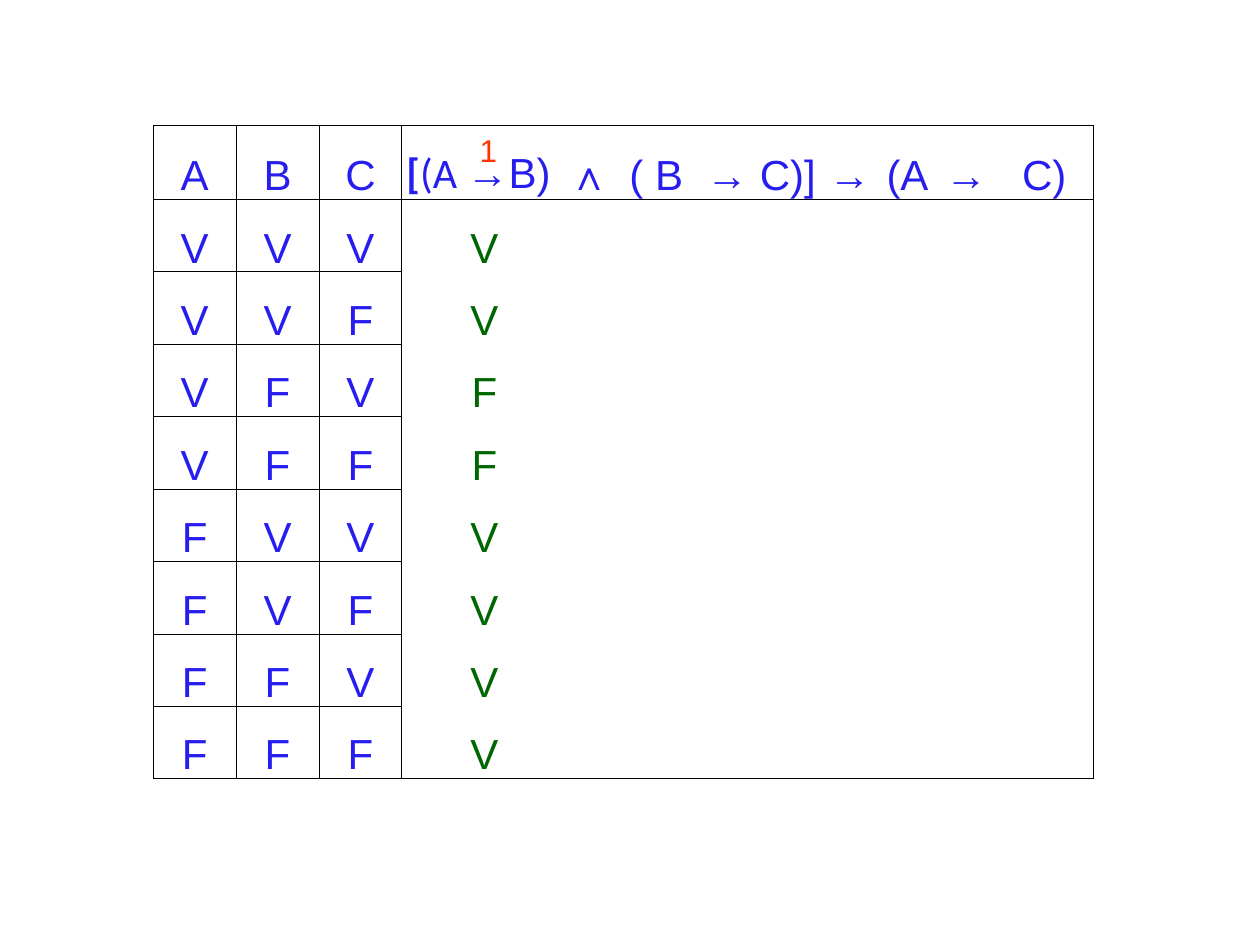
from itertools import product

from lxml.etree import SubElement
from pptx import Presentation
from pptx.dml.color import RGBColor
from pptx.enum.text import MSO_ANCHOR as Anchor, MSO_AUTO_SIZE as Fit, PP_ALIGN as Align
from pptx.oxml.ns import qn
from pptx.util import Cm, Pt

COLORS = {"blue": "271DEF", "green": "006600", "red": "FF3300", "line": "000000"}
WIDTHS = [1.67, 1.67, 1.67, 3.33, 0.91, 1.78, 2.44, 1.14, 1.19, 1.17, 1.98]
HEAD, ROW = 1.49, 1.46
VARS = ["A", "B", "C"]
REST = ["∧", "( B", "→ C)]", "→", "(A", "→", "C)"]
NO_STYLE = "{2D5ABB26-0587-4C30-8999-92F81FD0307C}"


def put(para, text, size=24, color="blue", font="Arial", bold=False):
    """Add one formatted run to a paragraph."""
    run = para.add_run()
    run.text = text
    run.font.size = Pt(size)
    run.font.name = font
    run.font.bold = bold
    run.font.color.rgb = RGBColor.from_string(COLORS[color])


def set_edges(cell, sides):
    """Draw the sides named in a string of L, R, T and B; clear the others."""
    props = cell._tc.get_or_add_tcPr()
    for side in "LRTB":
        line = SubElement(props, qn(f"a:ln{side}"), w=str(Pt(0.5)))
        if side in sides:
            fill = SubElement(line, qn("a:solidFill"))
            SubElement(fill, qn("a:srgbClr"), val=COLORS["line"])
        else:
            SubElement(line, qn("a:noFill"))


def find_edges(row, col, last_row, last_col):
    """Grid the variables and the header; only frame the area for results."""
    if col < len(VARS):
        return "LRTB"
    sides = "L" if col == len(VARS) else ""
    sides += "R" if col == last_col else ""
    sides += "T" if row < 2 else ""
    return sides + ("B" if row in (0, last_row) else "")


def fill_cell(cell, *runs):
    """Centre the runs, each a text and its format, at the foot of a cell."""
    cell.vertical_anchor = Anchor.BOTTOM
    cell.margin_left = cell.margin_right = cell.margin_top = Cm(0.02)
    cell.margin_bottom = 0
    para = cell.text_frame.paragraphs[0]
    para.alignment = Align.CENTER
    for text, style in runs:
        put(para, text, **style)


def add_grid(slide):
    cases = list(product("VF", repeat=len(VARS)))
    rows, cols = len(cases) + 1, len(WIDTHS)
    frame = slide.shapes.add_table(
        rows, cols, Cm(3.09), Cm(2.53), Cm(sum(WIDTHS)), Cm(HEAD + ROW * len(cases)))
    table = frame.table
    table.first_row = table.horz_banding = False
    table._tbl.tblPr.find(qn("a:tableStyleId")).text = NO_STYLE
    for col, width in zip(table.columns, WIDTHS):
        col.width = Cm(width)
    for i, row in enumerate(table.rows):
        row.height = Cm(ROW if i else HEAD)
        for j, cell in enumerate(row.cells):
            set_edges(cell, find_edges(i, j, rows - 1, cols - 1))
            cell.fill.background()
    return table, cases


def fill_head(table):
    for j, name in enumerate(VARS):
        fill_cell(table.cell(0, j), (name, {}))
    fill_cell(table.cell(0, len(VARS)),
              ("[", {"font": "Calibri", "bold": True}),
              ("(A ", {"font": "Calibri"}),
              ("→Β) ", {}))
    for j, part in enumerate(REST, len(VARS) + 1):
        fill_cell(table.cell(0, j), (part, {}))


def fill_cases(table, cases):
    for i, case in enumerate(cases, 1):
        for j, value in enumerate(case):
            fill_cell(table.cell(i, j), (value, {}))
        a, b, _ = case
        result = "F" if (a, b) == ("V", "F") else "V"
        fill_cell(table.cell(i, len(VARS)), (result, {"color": "green"}))


def add_step(slide, text):
    """Number the step above its arrow."""
    box = slide.shapes.add_textbox(Cm(9.42), Cm(2.51), Cm(0.86), Cm(1.02))
    box.text_frame.word_wrap = False
    box.text_frame.auto_size = Fit.SHAPE_TO_FIT_TEXT
    put(box.text_frame.paragraphs[0], text, size=18, color="red")


def main():
    deck = Presentation()
    deck.slide_width, deck.slide_height = Cm(25.4), Cm(19.05)
    slide = deck.slides.add_slide(deck.slide_layouts[6])
    table, cases = add_grid(slide)
    fill_head(table)
    fill_cases(table, cases)
    add_step(slide, "1")
    deck.save("out.pptx")


if __name__ == "__main__":
    main()
